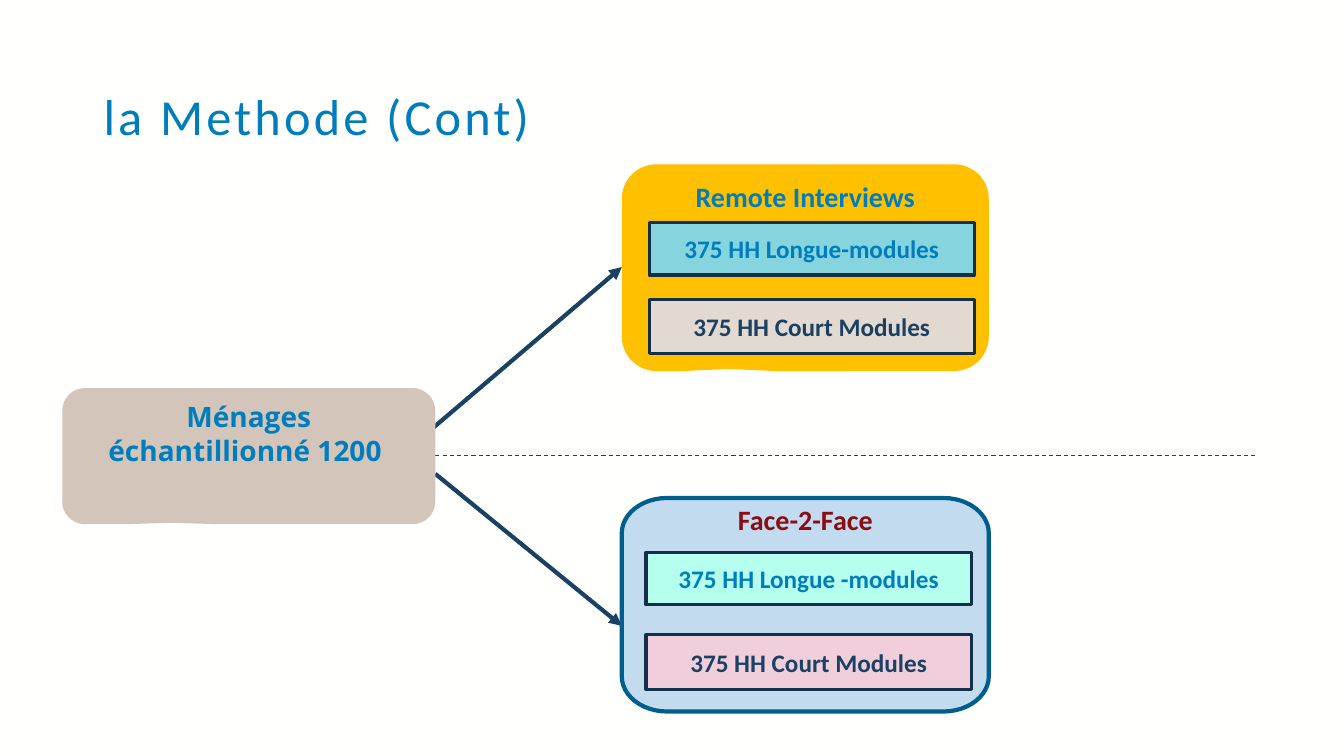
from math import cos, pi, sin

from pptx import Presentation
from pptx.dml.color import RGBColor
from pptx.enum.dml import MSO_LINE
from pptx.enum.shapes import MSO_CONNECTOR, MSO_SHAPE
from pptx.enum.text import MSO_ANCHOR as Anchor, PP_ALIGN as Align
from pptx.oxml.ns import qn
from pptx.util import Cm, Pt
from lxml.etree import SubElement

PAPER = RGBColor(0xFF, 0xFF, 0xFE)
BLUE = RGBColor(0x00, 0x7D, 0xBC)
NAVY = RGBColor(0x1A, 0x41, 0x61)
DARK_RED = RGBColor(0x8C, 0x0C, 0x14)
AMBER = RGBColor(0xFF, 0xC0, 0x00)
TAUPE = RGBColor(0xD4, 0xC5, 0xBB)
PALE_BLUE = RGBColor(0xC2, 0xDB, 0xEF)
PANEL_EDGE = RGBColor(0x00, 0x5E, 0x8D)
MODULE_EDGE = RGBColor(0x13, 0x30, 0x48)
MINT = RGBColor(0xB4, 0xFF, 0xED)
PINK = RGBColor(0xF1, 0xCE, 0xDC)
TURQUOISE = RGBColor(0x85, 0xD4, 0xDE)
SAND = RGBColor(0xE2, 0xD9, 0xD1)


def write(shape, text, size, color, font="Calibri", bold=True,
          align=Align.CENTER, anchor=Anchor.TOP):
    frame = shape.text_frame
    frame.text = text
    frame.word_wrap = True
    frame.vertical_anchor = anchor
    paragraph = frame.paragraphs[0]
    paragraph.alignment = align
    run = paragraph.runs[0]
    run.font.name = font
    run.font.size = Pt(size)
    run.font.bold = bold
    run.font.color.rgb = color
    return run


def paint(shape, fill, edge=None, width=0):
    shape.shadow.inherit = False
    shape.fill.solid()
    shape.fill.fore_color.rgb = fill
    if edge is None:
        shape.line.fill.background()
    else:
        shape.line.color.rgb = edge
        shape.line.width = Pt(width)


presentation = Presentation()
presentation.slide_width = Cm(33.87)
presentation.slide_height = Cm(19.05)
slide = presentation.slides.add_slide(presentation.slide_layouts[6])
slide.background.fill.solid()
slide.background.fill.fore_color.rgb = PAPER
shapes = slide.shapes

for x1, y1, x2, y2, width, is_arrow in (
    (10.97, 11.94, 15.67, 15.77, 3, True),
    (10.87, 10.82, 15.67, 6.73, 3, True),
    (10.97, 11.48, 31.65, 11.48, 0.75, False),
):
    connector = shapes.add_connector(
        MSO_CONNECTOR.STRAIGHT, Cm(x1), Cm(y1), Cm(x2), Cm(y2))
    connector.line.color.rgb = NAVY
    connector.line.width = Pt(width)
    properties = connector._element.spPr
    if is_arrow:
        SubElement(properties.find(qn("a:ln")), qn("a:tailEnd"), type="triangle")
    else:
        connector.line.dash_style = MSO_LINE.DASH
    SubElement(properties, qn("a:effectLst"))

for text, left, top, width, height, fill, font in (
    ("Remote Interviews", 15.67, 4.14, 9.25, 5.21, AMBER, "Calibri"),
    ("Ménages échantillionné\u00a01200 ".replace("\u00a0", chr(160)),
     1.57, 9.78, 9.4, 3.43, TAUPE, "Open Sans"),
):
    callout = shapes.add_shape(MSO_SHAPE.ROUNDED_RECTANGULAR_CALLOUT,
                               Cm(left), Cm(top), Cm(width), Cm(height))
    for index, value in enumerate((-0.206, 0.49, 0.167)):
        callout.adjustments[index] = value
    paint(callout, fill)
    write(callout, text, 20, BLUE, font)

left, top, right, bottom = 15.67, 12.55, 24.92, 17.93
radius_x, radius_y = 1.14, 0.89
corner_steps = 12
outline = []
for quarter, (center_x, center_y) in enumerate((
    (right - radius_x, bottom - radius_y),
    (left + radius_x, bottom - radius_y),
    (left + radius_x, top + radius_y),
    (right - radius_x, top + radius_y),
)):
    for step in range(corner_steps + 1):
        angle = (quarter + step / corner_steps) * pi / 2
        outline.append((Cm(center_x + radius_x * cos(angle)),
                        Cm(center_y + radius_y * sin(angle))))
builder = shapes.build_freeform(*outline[0])
builder.add_line_segments(outline[1:], close=True)
face_panel = builder.convert_to_shape()
paint(face_panel, PALE_BLUE, PANEL_EDGE, 3)
write(face_panel, "Face-2-Face", 20, DARK_RED)

for text, left, top, height, fill, color in (
    ("375 HH Longue-modules", 16.36, 5.61, 1.32, TURQUOISE, BLUE),
    ("375 HH Court Modules", 16.36, 7.54, 1.37, SAND, NAVY),
    ("375 HH Longue -modules", 16.28, 13.92, 1.32, MINT, BLUE),
    ("375 HH Court Modules", 16.28, 16, 1.37, PINK, NAVY),
):
    module = shapes.add_shape(
        MSO_SHAPE.RECTANGLE, Cm(left), Cm(top), Cm(8.2), Cm(height))
    paint(module, fill, MODULE_EDGE, 2.25)
    write(module, text, 18, color, anchor=Anchor.MIDDLE)

title = shapes.add_textbox(Cm(2.36), Cm(1.85), Cm(29.29), Cm(2.29))
title_run = write(title, "la Methode (Cont)", 36, BLUE, bold=False,
                  align=Align.LEFT, anchor=Anchor.MIDDLE)
title_run.font._element.set("spc", "230")
title.text_frame.paragraphs[0].line_spacing = 0.9

presentation.save("out.pptx")
